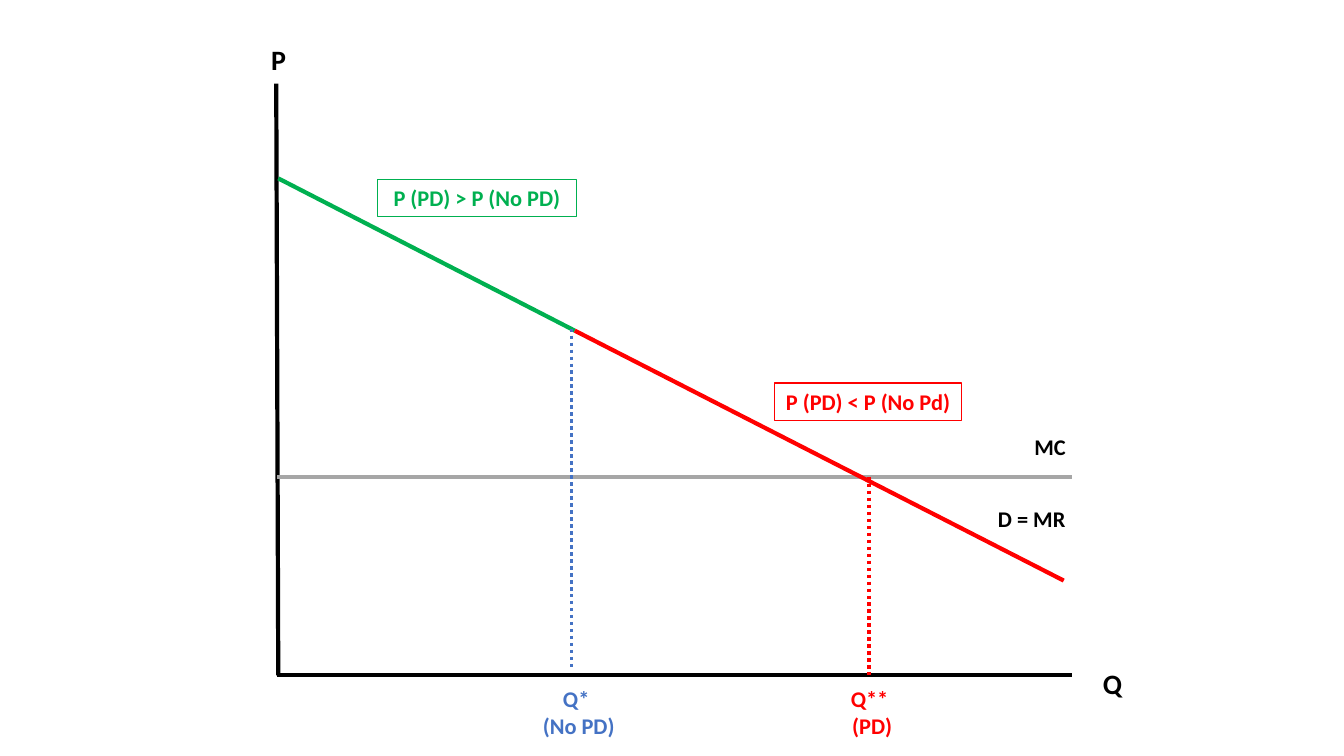
from collections import namedtuple

from pptx import Presentation
from pptx.dml.color import RGBColor
from pptx.enum.dml import MSO_LINE_DASH_STYLE as Dash
from pptx.enum.shapes import MSO_CONNECTOR as Connector, MSO_SHAPE as Shape
from pptx.enum.text import MSO_ANCHOR as Anchor, PP_ALIGN as Align
from pptx.oxml.ns import qn
from pptx.util import Inches, Pt
from lxml.etree import SubElement

COLORS = {
    "axis": "000000",
    "cost": "A6A6A6",
    "higher": "00B050",
    "lower": "FF0000",
    "single": "4472C4",
}
FONT = "Calibri"
Box = namedtuple("Box", "left top width height")
PLOT = Box(2.75, 0.83, 7.88, 5.87)


def color(name):
    return RGBColor.from_string(COLORS[name])


def add_line(page, box, start, end, name, weight=3, dash=None):
    """Draw a line between two points measured from the box's top left."""
    (x1, y1), (x2, y2) = start, end
    line = page.shapes.add_connector(
        Connector.STRAIGHT,
        Inches(box.left + x1), Inches(box.top + y1),
        Inches(box.left + x2), Inches(box.top + y2),
    )
    line.line.color.rgb = color(name)
    line.line.width = Pt(weight)
    if dash:
        line.line.dash_style = dash
    SubElement(line._element.spPr, qn("a:effectLst"))


def add_text(page, box, offset, size, text, name="axis", points=16,
             align=Align.LEFT, framed=False):
    """Write bold text, optionally in a frame, at an offset within the box."""
    place = [Inches(value) for value in
             (box.left + offset[0], box.top + offset[1], *size)]
    if framed:
        label = page.shapes.add_shape(Shape.RECTANGLE, *place)
        label.shadow.inherit = False
        label.fill.background()
        label.line.color.rgb = color(name)
        label.line.width = Pt(0.75)
    else:
        label = page.shapes.add_textbox(*place)
    frame = label.text_frame
    frame.word_wrap = not framed
    frame.vertical_anchor = Anchor.TOP
    frame.text = text
    for para in frame.paragraphs:
        para.alignment = align
        for span in para.runs:
            span.font.name = FONT
            span.font.size = Pt(points)
            span.font.bold = True
            span.font.color.rgb = color(name)


def draw_axes(page, box):
    origin = (0, box.height)
    add_line(page, box, (-0.01, 0), (0.01, box.height), "axis")
    add_line(page, box, (box.width, box.height), origin, "axis")
    add_text(page, box, (-0.16, -0.46), (0.58, 0.44), "P", points=20)
    add_text(page, box, (box.width + 0.21, box.height - 0.14), (0.49, 0.44),
             "Q", points=20)


def draw_curves(page, box):
    """Draw marginal cost and the two parts of demand, with their labels."""
    cost, kink = 3.9, (2.95, 2.45)
    add_line(page, box, (0, cost), (box.width, cost), "cost", 2.5)
    add_line(page, box, (0.01, 0.94), kink, "higher")
    add_line(page, box, kink, (7.8, 4.93), "lower")
    add_text(page, box, (7.41, cost - 0.48), (0.6, 0.37), "MC")
    add_text(page, box, (7.05, cost + 0.23), (1, 0.37), "D = MR")
    add_text(page, box, (0.99, 0.95), (1.98, 0.37), "P (PD) > P (No PD)",
             "higher", align=Align.CENTER, framed=True)
    add_text(page, box, (4.93, 2.97), (1.86, 0.37), "P (PD) < P (No Pd)",
             "lower", align=Align.CENTER, framed=True)


def draw_quantities(page, box):
    """Drop a dotted line to each quantity and name it below the axis."""
    quantities = [
        (2.92, 2.43, box.height - 0.06, 2.99, "Q* \n(No PD)", "single"),
        (5.87, 3.9, box.height, 5.9, "Q** \n(PD)", "lower"),
    ]
    width = 1.38
    for x, top, bottom, middle, text, name in quantities:
        add_line(page, box, (x, top), (x, bottom), name, 2.5,
                 Dash.ROUND_DOT)
        add_text(page, box, (middle - width / 2, box.height + 0.05),
                 (width, 0.64), text, name, align=Align.CENTER)


def main():
    deck = Presentation()
    deck.slide_width, deck.slide_height = Inches(13.33), Inches(7.5)
    page = deck.slides.add_slide(deck.slide_layouts[6])
    for draw in (draw_axes, draw_curves, draw_quantities):
        draw(page, PLOT)
    deck.save("out.pptx")


if __name__ == "__main__":
    main()
